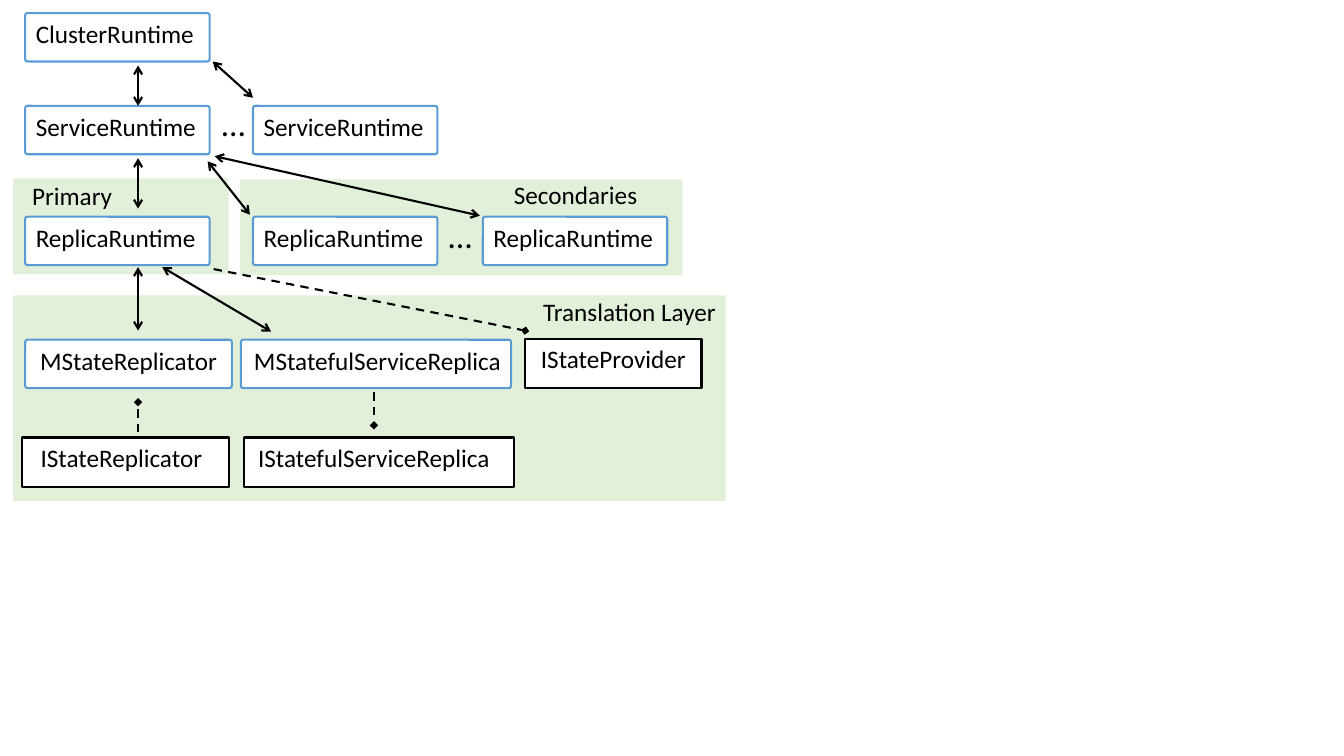
"""Draw the runtime hierarchy and its translation layer."""
from dataclasses import dataclass

from lxml import etree
from pptx import Presentation
from pptx.dml.color import RGBColor
from pptx.enum.dml import MSO_LINE
from pptx.enum.shapes import MSO_CONNECTOR, MSO_SHAPE
from pptx.enum.text import MSO_ANCHOR, PP_ALIGN
from pptx.oxml.ns import qn
from pptx.util import Emu, Inches, Pt

RECT, ROUND = MSO_SHAPE.RECTANGLE, MSO_SHAPE.ROUNDED_RECTANGLE
STRAIGHT, DASH = MSO_CONNECTOR.STRAIGHT, MSO_LINE.DASH
LEFT, CENTER, TOP = PP_ALIGN.LEFT, PP_ALIGN.CENTER, MSO_ANCHOR.TOP


@dataclass(frozen=True)
class Theme:
    """Colours, type and line sizes."""
    ink: RGBColor = RGBColor(0, 0, 0)
    paper: RGBColor = RGBColor(255, 255, 255)
    blue: RGBColor = RGBColor.from_string("5B9BD5")
    green: RGBColor = RGBColor.from_string("E2F0D9")
    font: str = "Calibri"
    body: int = 18
    dots: int = 24
    line: float = 1.5
    curve: float = 0.05


@dataclass(frozen=True)
class Area:
    """A rectangle in grid columns and rows."""
    col: float
    row: float
    wide: float
    high: float


@dataclass(frozen=True)
class Box:
    """A named class or interface."""
    text: str
    area: Area
    align: PP_ALIGN = LEFT
    face: bool = False
    trim: float = 0


@dataclass(frozen=True)
class Label:
    """Free text beside the boxes."""
    text: str
    area: Area
    align: PP_ALIGN = LEFT
    size: int = 18


@dataclass(frozen=True)
class Link:
    """A connector between two grid points."""
    start: tuple[float, float]
    end: tuple[float, float]
    dashed: bool = False


LOOK = Theme()
CELL = Inches(0.1)
COLS, ROWS = 133.33, 75
FIRST, SECOND, THIRD = 2.5, 25.1, 47.9
CLUSTER, SERVICE, REPLICA, MANAGED, FACE = 1.3, 10.5, 21.5, 33.7, 43.4
WIDE, HIGH, STEM = 18.3, 4.8, 13.7

PANELS = [
    Area(1.3, 29.3, 70.7, 20.4),
    Area(1.3, 17.7, 21.4, 9.5),
    Area(23.8, 17.8, 43.9, 9.5),
]
BOXES = [
    Box(text, Area(col, row, WIDE, HIGH))
    for text, row, cols in (
        ("ClusterRuntime", CLUSTER, (FIRST,)),
        ("ServiceRuntime", SERVICE, (FIRST, SECOND)),
        ("ReplicaRuntime", REPLICA, (FIRST, SECOND, THIRD)),
    )
    for col in cols
] + [
    Box("MStateReplicator", Area(FIRST, MANAGED, 20.5, HIGH), CENTER),
    Box("MStatefulServiceReplica", Area(23.9, MANAGED, 26.8, HIGH), CENTER,
        trim=-0.3),
    Box("IStateReplicator", Area(2.2, FACE, 20.5, 4.9), CENTER, True, 0.8),
    Box("IStatefulServiceReplica", Area(24.2, FACE, 26.8, 4.9), CENTER, True, 1),
    Box("IStateProvider", Area(52.1, 33.6, 17.5, 4.9), CENTER, True),
]
LABELS = [
    Label("Translation Layer", Area(49.6, 28.9, 25.7, 4), CENTER),
    Label("Primary", Area(2.2, 17.4, WIDE, 4)),
    Label("Secondaries", Area(50, 17.3, WIDE, 4)),
    Label("…", Area(19.4, 9.7, 7.5, 5), CENTER, LOOK.dots),
    Label("…", Area(41.9, 20.8, 7.5, 5), CENTER, LOOK.dots),
]
LINKS = [
    Link((STEM, 6.5), (STEM, 10.5)),
    Link((STEM, 15.7), (STEM, 20.7)),
    Link((STEM, 26.5), (STEM, 32.8)),
    Link((21.1, 6.1), (25.1, 9.7)),
    Link((20.6, 16), (24.8, 21.3)),
    Link((21.3, 15.5), (47.6, 21.4)),
    Link((16.1, 26.5), (26.9, 32.9)),
    Link((21.2, 26.7), (52.1, 32.8), True),
    Link((37.1, 38.9), (37.1, 42.2), True),
    Link((STEM, 42.9), (STEM, 39.9), True),
]


def cells(*counts: float) -> list[Emu]:
    """Turn grid counts into lengths."""
    return [Emu(round(count * CELL)) for count in counts]


def place(area: Area) -> list[Emu]:
    """Give an area's left, top, width and height."""
    return cells(area.col, area.row, area.wide, area.high)


def write(shape, text: str, *, align=LEFT, size=LOOK.body, trim=0.0) -> None:
    """Put formatted text at the top of a shape."""
    frame = shape.text_frame
    frame.word_wrap = True
    frame.vertical_anchor = TOP
    frame.margin_left, frame.margin_right = cells(1, 1 + trim)
    frame.margin_top, frame.margin_bottom = cells(0.5, 0.5)
    para = frame.paragraphs[0]
    para.alignment = align
    run = para.add_run()
    run.text = text
    run.font.name = LOOK.font
    run.font.size = Pt(size)
    run.font.color.rgb = LOOK.ink


def block(slide, kind: MSO_SHAPE, area: Area, fill: RGBColor,
          edge: RGBColor | None = None):
    """Add a flat filled shape."""
    shape = slide.shapes.add_shape(kind, *place(area))
    shape.shadow.inherit = False
    shape.fill.solid()
    shape.fill.fore_color.rgb = fill
    if edge is None:
        shape.line.fill.background()
    else:
        shape.line.color.rgb = edge
        shape.line.width = Pt(LOOK.line)
    return shape


def node(slide, box: Box) -> None:
    """Draw one class or interface."""
    kind, edge = (RECT, LOOK.ink) if box.face else (ROUND, LOOK.blue)
    shape = block(slide, kind, box.area, LOOK.paper, edge)
    if not box.face:
        shape.adjustments[0] = LOOK.curve
    write(shape, box.text, align=box.align, trim=box.trim)


def join(slide, link: Link) -> None:
    """Draw one connector with its arrowheads."""
    wire = slide.shapes.add_connector(STRAIGHT, *cells(*link.start, *link.end))
    wire.line.color.rgb = LOOK.ink
    wire.line.width = Pt(LOOK.line)
    if link.dashed:
        wire.line.dash_style = DASH
    ends = {"tailEnd": "diamond"} if link.dashed else {
        "headEnd": "arrow", "tailEnd": "arrow"}
    props = wire.element.spPr
    for tag, mark in ends.items():
        etree.SubElement(props.find(qn("a:ln")), qn(f"a:{tag}"), type=mark)
    etree.SubElement(props, qn("a:effectLst"))


def main() -> None:
    """Build and save the slide."""
    deck = Presentation()
    deck.slide_width, deck.slide_height = cells(COLS, ROWS)
    slide = deck.slides.add_slide(deck.slide_layouts[6])
    for area in PANELS:
        block(slide, RECT, area, LOOK.green)
    for box in BOXES:
        node(slide, box)
    for label in LABELS:
        note = slide.shapes.add_textbox(*place(label.area))
        write(note, label.text, align=label.align, size=label.size)
    for link in LINKS:
        join(slide, link)
    deck.save("out.pptx")


main()
